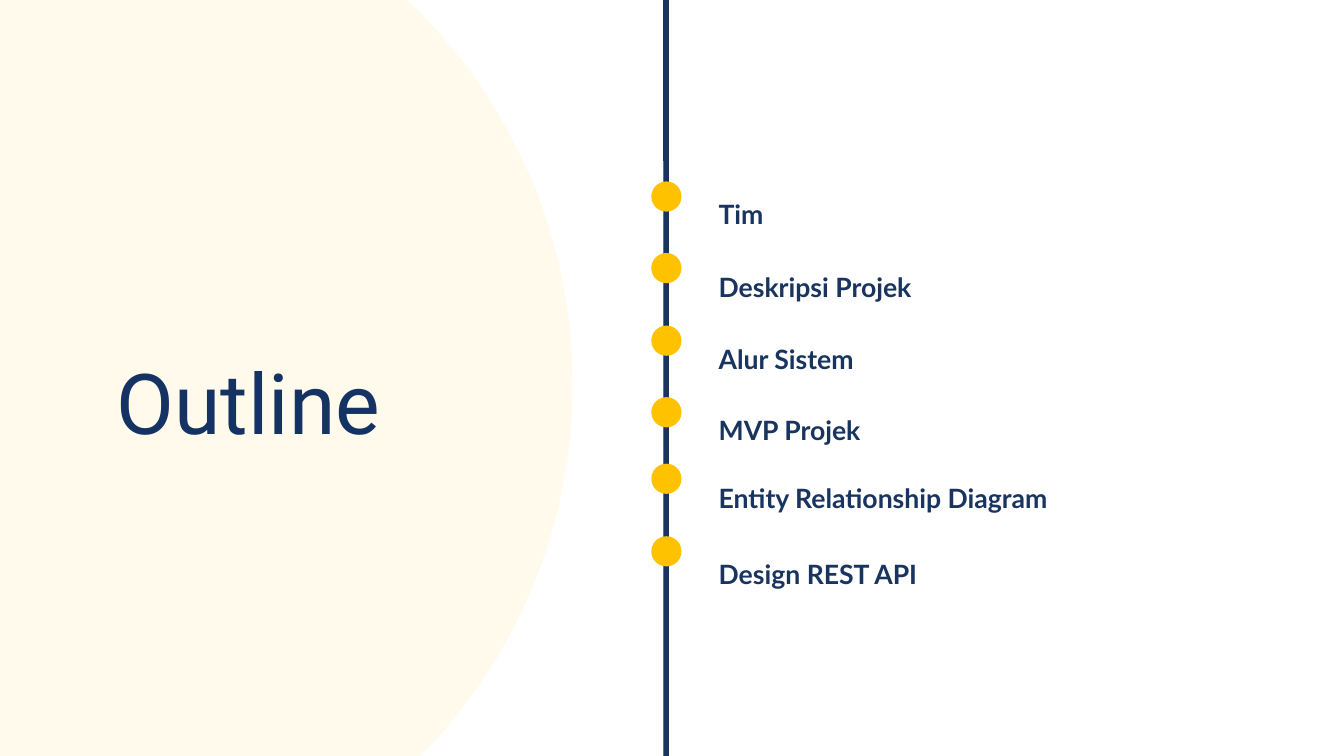
from dataclasses import dataclass

from pptx import Presentation
from pptx.dml.color import RGBColor
from pptx.enum.shapes import MSO_SHAPE
from pptx.enum.text import MSO_ANCHOR, PP_ALIGN
from pptx.shapes.autoshape import Shape
from pptx.slide import Slide
from pptx.text.text import _Paragraph
from pptx.util import Inches, Pt

OVAL = MSO_SHAPE.OVAL
RECTANGLE = MSO_SHAPE.RECTANGLE
TOP = MSO_ANCHOR.TOP
BOTTOM = MSO_ANCHOR.BOTTOM
CENTER = PP_ALIGN.CENTER

WHITE = RGBColor(0xFF, 0xFF, 0xFF)
CREAM = RGBColor(0xFF, 0xFA, 0xEB)
NAVY = RGBColor(0x19, 0x35, 0x5F)
TITLE_NAVY = RGBColor(0x14, 0x33, 0x62)
AMBER = RGBColor(0xFF, 0xC2, 0x00)

DOT_LEFT = 6.46
DOT_SIZE = 0.3
TOPIC_LEFT = 7.03


@dataclass(frozen=True)
class Box:
    left: float
    top: float
    width: float
    height: float

    def lengths(self) -> tuple[int, int, int, int]:
        return (Inches(self.left), Inches(self.top),
                Inches(self.width), Inches(self.height))


@dataclass(frozen=True)
class Topic:
    label: str
    top: float
    dot_top: float
    width: float = 3.63
    height: float = 0.37


TOPICS = (
    Topic("Tim", 1.76, 1.8, height=0.3),
    Topic("Deskripsi Projek", 2.48, 2.51),
    Topic("Alur Sistem", 3.19, 3.23, width=3.97),
    Topic("MVP Projek", 3.9, 3.94),
    Topic("Entity Relationship Diagram", 4.57, 4.6, width=5.02),
    Topic("Design REST API", 5.33, 5.32, width=4.51),
)


def add_filled(slide: Slide, kind: MSO_SHAPE, box: Box, color: RGBColor) -> Shape:
    shape = slide.shapes.add_shape(kind, *box.lengths())
    shape.shadow.inherit = False
    shape.fill.solid()
    shape.fill.fore_color.rgb = color
    shape.line.fill.background()
    return shape


def add_label(slide: Slide, box: Box, text: str, font_name: str, size: int,
              color: RGBColor, bold: bool, anchor: MSO_ANCHOR) -> _Paragraph:
    frame = slide.shapes.add_textbox(*box.lengths()).text_frame
    frame.word_wrap = True
    frame.vertical_anchor = anchor
    frame.text = text
    paragraph = frame.paragraphs[0]
    font = paragraph.runs[0].font
    font.name = font_name
    font.size = Pt(size)
    font.bold = bold
    font.color.rgb = color
    return paragraph


def add_topic(slide: Slide, topic: Topic) -> None:
    label = add_label(slide, Box(TOPIC_LEFT, topic.top, topic.width, topic.height),
                      topic.label, "Lato", 19, NAVY, True, TOP)
    label.line_spacing = 1.5
    label.space_after = Pt(11)
    add_filled(slide, OVAL, Box(DOT_LEFT, topic.dot_top, DOT_SIZE, DOT_SIZE), AMBER)


def main() -> None:
    presentation = Presentation()
    presentation.slide_width = Inches(13.33)
    presentation.slide_height = Inches(7.5)
    slide = presentation.slides.add_slide(presentation.slide_layouts[6])
    slide.background.fill.solid()
    slide.background.fill.fore_color.rgb = WHITE

    add_filled(slide, OVAL, Box(-4.81, -1.43, 10.49, 10.49), CREAM)
    timeline = add_filled(slide, RECTANGLE, Box(0.42, 4.76, 12.38, 0.05), NAVY)
    timeline.rotation = 90
    timeline.line.color.rgb = NAVY
    timeline.line.width = Pt(0.75)

    for topic in TOPICS:
        add_topic(slide, topic)

    title = add_label(slide, Box(-0.69, 3.3, 6.31, 1.24), "Outline",
                      "Roboto", 60, TITLE_NAVY, False, BOTTOM)
    title.alignment = CENTER
    title.line_spacing = 0.9

    presentation.save("out.pptx")


if __name__ == "__main__":
    main()
